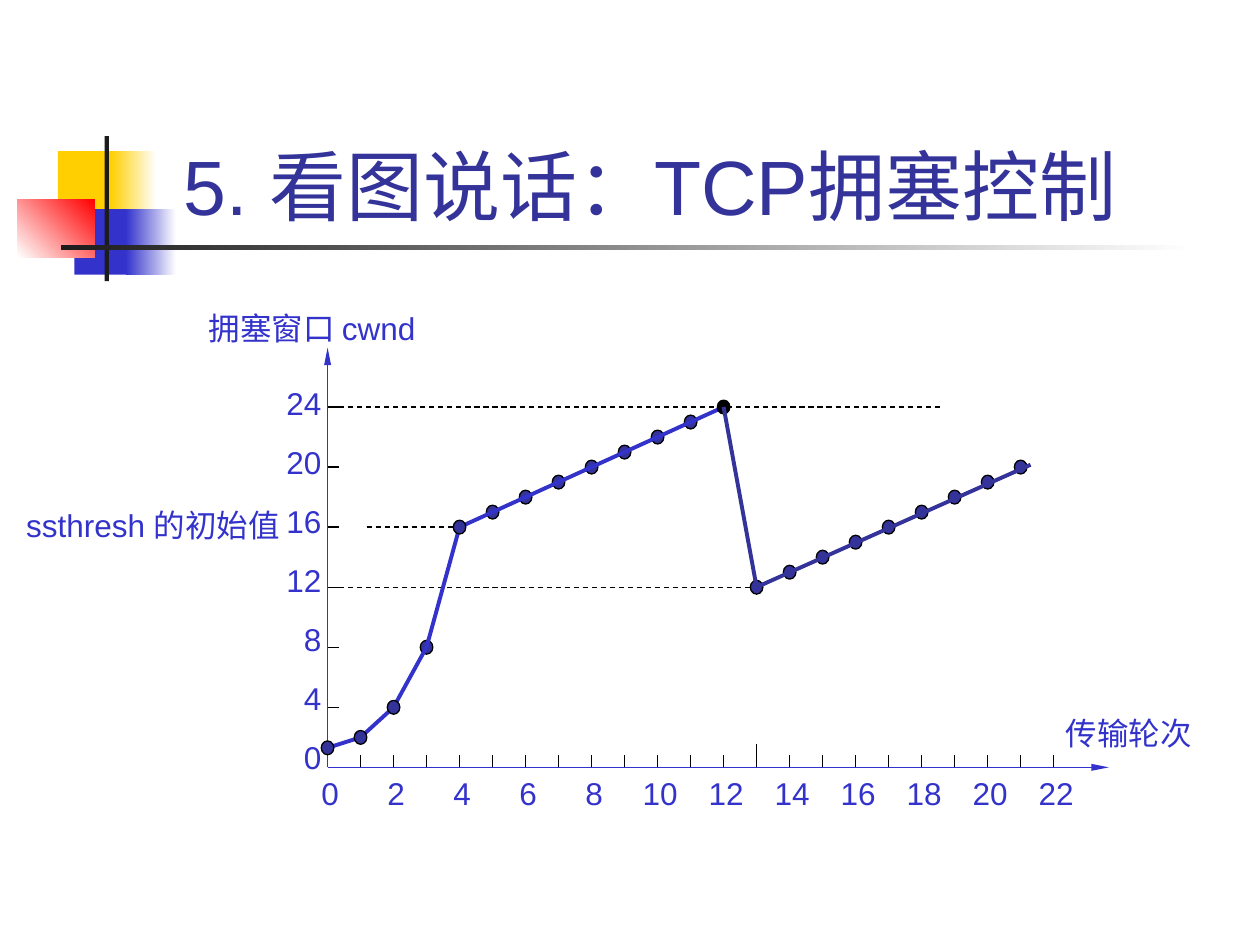
import pptx
import pptx.util
import pptx.dml.color
import pptx.enum.dml
import pptx.enum.shapes
import pptx.enum.text
import pptx.oxml.ns
from lxml import etree

Pt = pptx.util.Pt
SHAPE = pptx.enum.shapes.MSO_SHAPE
ALIGN = pptx.enum.text.PP_ALIGN
ANCHOR = pptx.enum.text.MSO_ANCHOR
qn = pptx.oxml.ns.qn

BLUE, INDIGO, BLACK = "3333CC", "333399", "000000"
YELLOW, RED, CHARCOAL, WHITE = "FFCF01", "FF0000", "1C1C1C", "FFFFFF"


def rgb(code):
    return pptx.dml.color.RGBColor.from_string(code)


class SlideWriter:
    """Holds the style and the current slide; all lengths are points."""
    font = "Arial"
    label_size = 18
    thin, thick = 0.75, 2.25

    def __init__(self, slide):
        self.shapes = slide.shapes

    def shape(self, kind, left, top, width, height, fill, fade_to=None, angle=0, outline=None):
        shape = self.shapes.add_shape(kind, Pt(left), Pt(top), Pt(width), Pt(height))
        shape.shadow.inherit = False
        if fade_to:
            shape.fill.gradient()
            shape.fill.gradient_angle = angle
            for stop, code in zip(shape.fill.gradient_stops, (fill, fade_to)):
                stop.color.rgb = rgb(code)
        else:
            shape.fill.solid()
            shape.fill.fore_color.rgb = rgb(fill)
        if outline:
            shape.line.color.rgb = rgb(outline)
            shape.line.width = Pt(self.thin)
        else:
            shape.line.fill.background()

    def line(self, x1, y1, x2, y2, color=BLACK, dashed=False, arrow=False):
        line = self.shapes.add_connector(
            pptx.enum.shapes.MSO_CONNECTOR.STRAIGHT, Pt(x1), Pt(y1), Pt(x2), Pt(y2))
        line.line.color.rgb = rgb(color)
        line.line.width = Pt(self.thin)
        if dashed:
            line.line.dash_style = pptx.enum.dml.MSO_LINE.DASH
        if arrow:
            etree.SubElement(line.line._get_or_add_ln(), qn("a:tailEnd"),
                             type="triangle", w="sm", len="lg")
        etree.SubElement(line._element.spPr, qn("a:effectLst"))

    def curve(self, points, color):
        start, *rest = [(Pt(x), Pt(y)) for x, y in points]
        builder = self.shapes.build_freeform(*start)
        builder.add_line_segments(rest, close=False)
        curve = builder.convert_to_shape()
        curve.shadow.inherit = False
        curve.fill.background()
        curve.line.color.rgb = rgb(color)
        curve.line.width = Pt(self.thick)

    def text(self, words, left, top, width, height=28.8, size=label_size, color=BLUE,
             align=ALIGN.LEFT, anchor=ANCHOR.TOP, wrap=False):
        frame = self.shapes.add_textbox(Pt(left), Pt(top), Pt(width), Pt(height)).text_frame
        frame.word_wrap = wrap
        frame.vertical_anchor = anchor
        paragraph = frame.paragraphs[0]
        paragraph.alignment = align
        run = paragraph.add_run()
        run.text = words
        run.font.name = self.font
        run.font.size = Pt(size)
        run.font.color.rgb = rgb(color)


# Plot scale: transmission rounds across, congestion window upwards
ORIGIN_X, ORIGIN_Y = 187.2, 438.5
ROUND_STEP, WINDOW_STEP = 18.86, 8.58
DOT_W, DOT_H = 7.2, 7.9
TICK = 6.8


def plot_x(round_number):
    return ORIGIN_X + ROUND_STEP * round_number


def plot_y(window):
    return ORIGIN_Y - WINDOW_STEP * window


def plot(round_number, window):
    return plot_x(round_number), plot_y(window)


def add_ornament(writer):
    for left, top, width, height, *colors in (
            (33.1, 86.4, 34.6, 37.4, YELLOW),
            (63.4, 86.4, 25.9, 37.4, YELLOW, WHITE),
            (42.5, 119.5, 33.1, 37.4, BLUE),
            (72, 119.5, 28.8, 37.4, BLUE, WHITE),
            (10.1, 113.8, 43.9, 33.1, WHITE, RED, 45),
            (59.8, 77.8, 2.5, 82.8, CHARCOAL),
            (34.6, 140.2, 648, 2.5, CHARCOAL, WHITE)):
        writer.shape(SHAPE.RECTANGLE, left, top, width, height, *colors)


def add_axes(writer):
    writer.line(ORIGIN_X, ORIGIN_Y, 633.6, ORIGIN_Y, BLUE, arrow=True)
    writer.line(ORIGIN_X, ORIGIN_Y, ORIGIN_X, 198.7, BLUE, arrow=True)

    # Ticks: the round of the fallback is marked higher
    for number in range(1, 23):
        height = 2 * TICK if number == 13 else TICK
        writer.line(plot_x(number), ORIGIN_Y - height, plot_x(number), ORIGIN_Y)
    for window in range(4, 25, 4):
        writer.line(ORIGIN_X, plot_y(window), ORIGIN_X + TICK, plot_y(window))

    # Tick labels
    for number in range(0, 23, 2):
        writer.text(str(number), plot_x(number) - 15.9, ORIGIN_Y, 34.6, align=ALIGN.CENTER)
    for window in range(0, 25, 4):
        writer.text(str(window), 156.2, 418.3 - 8.43 * window, 34.6, align=ALIGN.RIGHT)

    # Axis names and threshold
    writer.text("传输轮次", 601.9, 404.6, 86.4)
    writer.text("拥塞窗口 cwnd", 112.3, 172.8, 136.8)
    writer.text("ssthresh 的初始值", 5.8, 285.8, 163.4, align=ALIGN.CENTER)


def add_windows(writer):
    windows = [1.3, 2, 4, 8, *range(16, 25), *range(12, 21)]
    dots_in_front = (0, 1, 2, 4, 12)

    def add_dot(number):
        x, y = plot(number, windows[number])
        writer.shape(SHAPE.OVAL, x - DOT_W / 2, y - DOT_H / 2, DOT_W, DOT_H,
                     BLACK if number == 12 else INDIGO, outline=BLACK)

    # Guide lines at the threshold, the fallback and the peak
    for window, start, end in ((16, 209.5, plot_x(4)), (12, 193.7, plot_x(13)),
                               (24, 193.7, 539.3)):
        writer.line(start, plot_y(window), end, plot_y(window), dashed=True)

    for number in range(len(windows)):
        if number not in dots_in_front:
            add_dot(number)

    # Slow start and linear growth
    writer.curve([plot(n, windows[n]) for n in (0, 1, 2, 3, 4, 12)], BLUE)
    for number in dots_in_front:
        add_dot(number)

    # Fallback and second linear growth
    writer.curve([plot(12, 24), plot(13, 12), plot(21.3, 20.15)], INDIGO)


def main():
    deck = pptx.Presentation()
    deck.slide_width, deck.slide_height = Pt(720), Pt(540)
    writer = SlideWriter(deck.slides.add_slide(deck.slide_layouts[6]))

    add_ornament(writer)
    writer.text("5. 看图说话：TCP拥塞控制", 64.8, 20.2, 613.4, 115.2, size=44, color=INDIGO,
                align=ALIGN.CENTER, anchor=ANCHOR.BOTTOM, wrap=True)
    add_axes(writer)
    add_windows(writer)
    deck.save("out.pptx")


if __name__ == "__main__":
    main()
